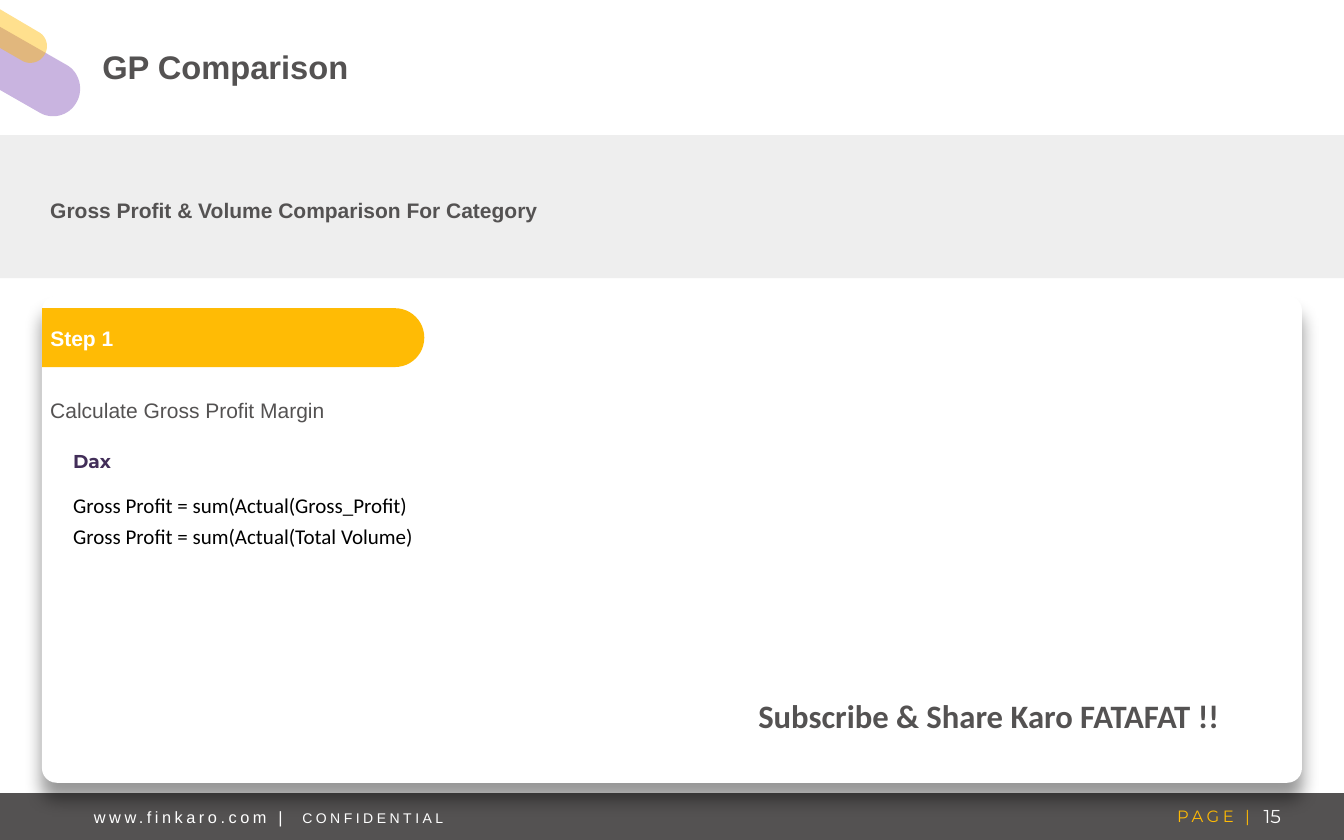
import dataclasses

import lxml.etree
import pptx
import pptx.dml.color
import pptx.enum.shapes
import pptx.enum.text
import pptx.oxml
import pptx.oxml.ns
import pptx.util

Cm, Pt = pptx.util.Cm, pptx.util.Pt
Shape = pptx.enum.shapes.MSO_SHAPE
Align = pptx.enum.text.PP_ALIGN
Anchor = pptx.enum.text.MSO_ANCHOR
qn = pptx.oxml.ns.qn


@dataclasses.dataclass(frozen=True)
class Theme:
    gray: str = "545252"
    yellow: str = "FFBB05"
    lilac: str = "A886CD"
    purple: str = "422E59"
    pale: str = "EEEEEE"
    white: str = "FFFFFF"
    black: str = "000000"
    sans: str = "Arial"
    body: str = "Calibri"
    accent: str = "Montserrat"
    headline: int = 28
    text: int = 18
    small: int = 16
    footer: int = 14
    tiny: int = 12


THEME = Theme()

TITLE = "GP Comparison"
SUBTITLE = "Gross Profit & Volume Comparison For Category"
STEP = "Step 1"
TASK = "Calculate Gross Profit Margin"
LANGUAGE = "Dax"
FORMULAS = ["Gross Profit = sum(Actual(Gross_Profit)", "Gross Profit = sum(Actual(Total Volume)"]
CALL_TO_ACTION = "Subscribe & Share Karo FATAFAT !!"
# Footer runs: text, size, letter spacing in points
FOOTER = [("www.finkaro.com ", THEME.footer, 3), ("| ", THEME.footer, 6.5),
          ("CONFIDENTIAL", THEME.tiny, 3)]
PAGE_LABEL = [("PAGE |", THEME.footer, 3)]
PAGE_NUMBER = "15"

# Corner pills in cm: colour, opacity %, start, then line (1 point) or curve (3 points) steps
PILLS = [
    (THEME.lilac, 61, (0, 2.72), [
        [(1.19, 3.4)], [(1.57, 3.63), (2.08, 3.51), (2.31, 3.1)],
        [(2.54, 2.72), (2.41, 2.18), (2.01, 1.96)], [(0, 0.81)]]),
    (THEME.yellow, 45, (0, 1.45), [
        [(0.66, 1.83)], [(0.91, 1.98), (1.22, 1.88), (1.35, 1.65)],
        [(1.5, 1.4), (1.4, 1.09), (1.17, 0.97)], [(0, 0.28)]]),
]

WIDTH, HEIGHT = 40.64, 25.4
MARGIN = 1.27
CARD_WIDTH = WIDTH - 2 * MARGIN
FOOTER_TOP = 23.98
FOOTER_HEIGHT = HEIGHT - FOOTER_TOP
CODE_LEFT = 1.96


def paint(shape, color):
    shape.shadow.inherit = False
    shape.fill.solid()
    shape.fill.fore_color.rgb = pptx.dml.color.RGBColor.from_string(color)
    shape.line.fill.background()


def add_block(slide, kind, place, color):
    shape = slide.shapes.add_shape(kind, *map(Cm, place))
    paint(shape, color)
    return shape


def curve_points(start, control_1, control_2, end, steps=16):
    """Points along a cubic Bezier curve, without its start."""
    for step in range(1, steps + 1):
        t = step / steps
        weights = ((1 - t) ** 3, 3 * t * (1 - t) ** 2, 3 * t ** 2 * (1 - t), t ** 3)
        yield tuple(sum(w * p[axis] for w, p in zip(weights, (start, control_1, control_2, end)))
                    for axis in (0, 1))


def add_pill(slide, color, opacity, start, steps):
    points = [start]
    for step in steps:
        points += step if len(step) == 1 else curve_points(points[-1], *step)
    builder = slide.shapes.build_freeform(Cm(start[0]), Cm(start[1]))
    builder.add_line_segments([(Cm(x), Cm(y)) for x, y in points[1:]], close=True)
    pill = builder.convert_to_shape()
    paint(pill, color)
    color_element = pill._element.spPr.find(".//" + qn("a:srgbClr"))
    lxml.etree.SubElement(color_element, qn("a:alpha"), val=str(opacity * 1000))


def add_card_shadow(card):
    effects = card._element.spPr.find(qn("a:effectLst"))
    shadow = lxml.etree.SubElement(effects, qn("a:outerShdw"), blurRad=str(Pt(14)),
                                   dist=str(Pt(15)), dir="5400000", algn="t", rotWithShape="0")
    color = lxml.etree.SubElement(shadow, qn("a:srgbClr"), val=THEME.black)
    lxml.etree.SubElement(color, qn("a:alpha"), val="40000")


def style_run(span, font, size, color, bold=False):
    span.font.name = font
    span.font.size = Pt(size)
    span.font.bold = bold
    span.font.color.rgb = pptx.dml.color.RGBColor.from_string(color)


def write(box, text, font, size, color, bold=False, align=Align.LEFT, anchor=Anchor.TOP,
          line_spacing=1.0, gap=0):
    """Fill a box with text; gap is the space in points between paragraphs."""
    frame = box.text_frame
    frame.text = text
    frame.word_wrap = True
    frame.auto_size = pptx.enum.text.MSO_AUTO_SIZE.NONE
    frame.vertical_anchor = anchor
    for index, para in enumerate(frame.paragraphs):
        para.alignment = align
        para.line_spacing = line_spacing
        para.space_before = Pt(gap if index else 0)
        for span in para.runs:
            style_run(span, font, size, color, bold)


def add_text(slide, place, *content, **options):
    box = slide.shapes.add_textbox(*map(Cm, place))
    write(box, *content, **options)
    return box


def add_spaced_text(slide, place, spans, font, color, **options):
    box = add_text(slide, place, "", font, THEME.footer, color, **options)
    for text, size, spacing in spans:
        span = box.text_frame.paragraphs[0].add_run()
        span.text = text
        style_run(span, font, size, color)
        span._r.get_or_add_rPr().set("spc", str(int(spacing * 100)))


def move(shape, place):
    shape.left, shape.top, shape.width, shape.height = map(Cm, place)


def add_footer(slide):
    add_block(slide, Shape.RECTANGLE, (0, FOOTER_TOP, WIDTH, FOOTER_HEIGHT), THEME.gray)
    add_spaced_text(slide, (31.85, 24.26, 6.2, 0.86), PAGE_LABEL, THEME.accent, THEME.yellow,
                    align=Align.RIGHT)
    add_text(slide, (37.57, FOOTER_TOP, 1.8, FOOTER_HEIGHT), PAGE_NUMBER, THEME.accent,
             THEME.small, THEME.white, align=Align.CENTER, anchor=Anchor.MIDDLE)
    add_spaced_text(slide, (2.59, FOOTER_TOP, 17.3, FOOTER_HEIGHT), FOOTER, THEME.sans,
                    THEME.white, anchor=Anchor.MIDDLE)


def add_step(slide):
    """Yellow tab, round on the right: a turned shape with its text turned back."""
    length, thickness, top = 11.56, 1.78, 9.32
    left = MARGIN + (length - thickness) / 2
    tab = add_block(slide, Shape.ROUND_2_SAME_RECTANGLE,
                    (left, top - (length - thickness) / 2, thickness, length), THEME.yellow)
    tab.rotation = 90
    tab.adjustments[0], tab.adjustments[1] = 0.5, 0
    write(tab, STEP, THEME.sans, THEME.text, THEME.white, bold=True, anchor=Anchor.MIDDLE)
    frame = tab.text_frame
    frame.margin_left = frame.margin_right = frame.margin_top = frame.margin_bottom = Cm(0.25)
    frame._txBody.bodyPr.set("vert", "vert270")


def add_formulas(slide, body):
    slide.shapes._spTree.append(body._element)
    move(body, (CODE_LEFT, 14.78, 12, 1.96))
    body.text_frame.text = "\n".join(FORMULAS)
    write(body, "\n".join(FORMULAS), THEME.body, THEME.text, THEME.black, gap=4.6)
    for para in body.text_frame.paragraphs:
        properties = para._p.get_or_add_pPr()
        properties.set("marL", "0")
        properties.set("indent", "0")
        lxml.etree.SubElement(properties, qn("a:buNone"))


def main():
    deck = pptx.Presentation()
    deck.slide_width, deck.slide_height = Cm(WIDTH), Cm(HEIGHT)
    page = deck.slides.add_slide(deck.slide_layouts[1])
    title, body = page.placeholders

    for pill in PILLS:
        add_pill(page, *pill)
    add_footer(page)
    move(title, (2.84, 0, 32.87, 3.81))
    write(title, TITLE, THEME.sans, THEME.headline, THEME.gray, bold=True,
          align=Align.JUSTIFY, anchor=Anchor.MIDDLE, line_spacing=1.2)

    add_block(page, Shape.RECTANGLE, (0, 4.09, WIDTH, 4.32), THEME.pale)
    add_text(page, (MARGIN, 5.72, CARD_WIDTH, 1.09), SUBTITLE, THEME.sans, THEME.text, THEME.gray,
             bold=True, align=Align.JUSTIFY, anchor=Anchor.MIDDLE, line_spacing=1.2)

    card = add_block(page, Shape.ROUNDED_RECTANGLE, (MARGIN, 8.94, CARD_WIDTH, 14.73), THEME.white)
    card.adjustments[0] = 0.03
    add_card_shadow(card)
    add_step(page)
    add_text(page, (MARGIN, 11.73, 17.68, 1.09), TASK, THEME.sans, THEME.text, THEME.gray,
             align=Align.JUSTIFY, line_spacing=1.2)
    add_text(page, (CODE_LEFT, 13.39, 4.45, 1.02), LANGUAGE, THEME.accent, THEME.small,
             THEME.purple, bold=True, anchor=Anchor.MIDDLE, line_spacing=1.1)
    add_formulas(page, body)
    add_text(page, (22.68, 20.68, 15.52, 1.6), CALL_TO_ACTION, THEME.body, THEME.headline,
             THEME.gray, bold=True, line_spacing=1.2)
    deck.save("out.pptx")


if __name__ == "__main__":
    main()
